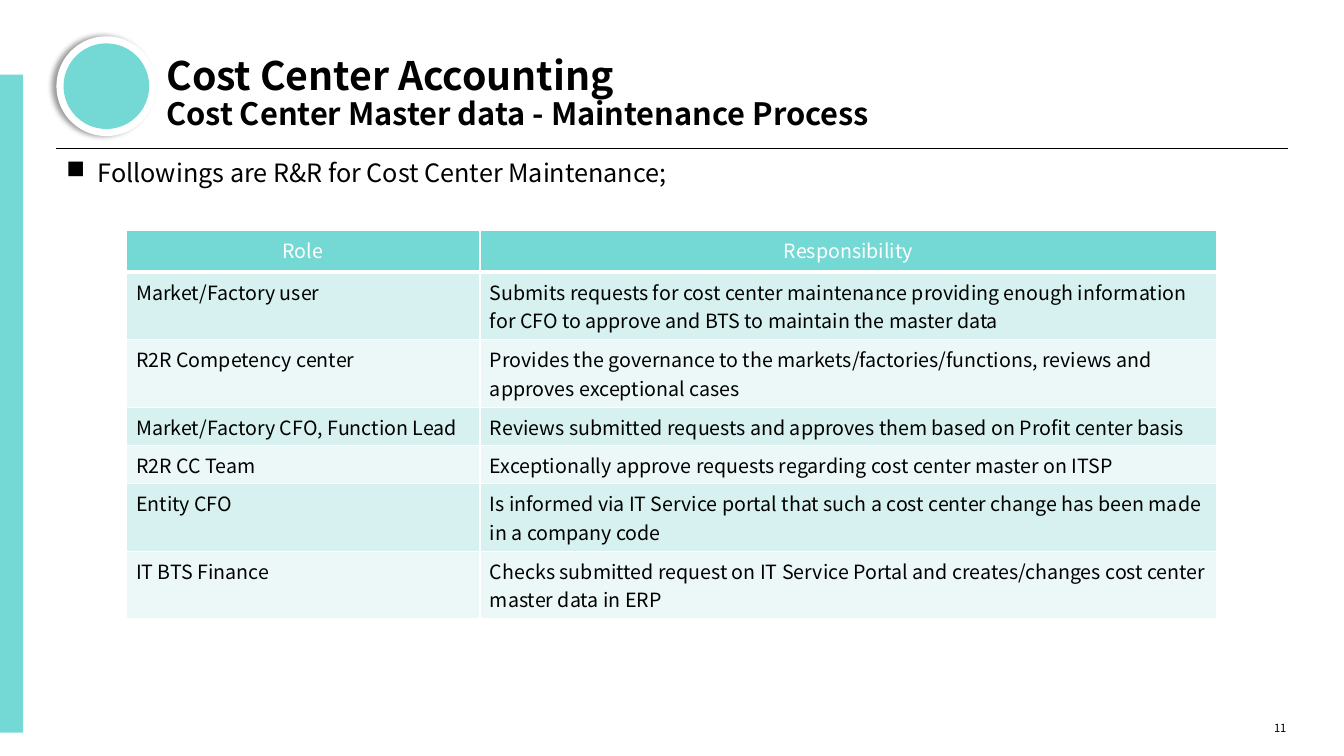
from lxml import etree
from pptx import Presentation
from pptx.dml.color import RGBColor
from pptx.enum import shapes, text
from pptx.oxml import ns
from pptx.util import Inches, Pt

FONT = "Noto Sans CJK JP"
TEAL = RGBColor(0x74, 0xD9, 0xD5)
BAND_DARK = RGBColor(0xD6, 0xF1, 0xEF)
BAND_LIGHT = RGBColor(0xEB, 0xF8, 0xF7)
BLACK = RGBColor(0, 0, 0)
WHITE = RGBColor(0xFF, 0xFF, 0xFF)

ONE_LINE, TWO_LINES = 0.38, 0.67
HEADINGS = ("Role", "Responsibility")
ROLES = [
    ("Market/Factory user",
     "Submits requests for cost center maintenance providing enough information "
     "for CFO to approve and BTS to maintain the master data", TWO_LINES),
    ("R2R Competency center",
     "Provides the governance to the markets/factories/functions, reviews and "
     "approves exceptional cases", TWO_LINES),
    ("Market/Factory CFO, Function Lead",
     "Reviews submitted requests and approves them based on Profit center basis", ONE_LINE),
    ("R2R CC Team",
     "Exceptionally approve requests regarding cost center master on ITSP", ONE_LINE),
    ("Entity CFO",
     "Is informed via IT Service portal that such a cost center change has been made "
     "in a company code", TWO_LINES),
    ("IT BTS Finance",
     "Checks submitted request on IT Service Portal and creates/changes cost center "
     "master data in ERP", TWO_LINES),
]


def add_xml(parent, tag, **attributes):
    return etree.SubElement(parent, ns.qn(tag), attributes)


def write(paragraph, words, size, color=BLACK, bold=False, align=None,
          spacing=None, bullet=False):
    if align is not None:
        paragraph.alignment = align
    if spacing:
        paragraph.line_spacing = spacing
    if bullet:
        properties = paragraph._p.get_or_add_pPr()
        properties.set("marL", str(Inches(0.31)))
        properties.set("indent", str(Inches(-0.31)))
        add_xml(properties, "a:buFont", typeface="Wingdings", charset="2")
        add_xml(properties, "a:buChar", char="n")
    run = paragraph.add_run()
    run.text = words
    run.font.name = FONT
    run.font.size = Pt(size)
    run.font.bold = bold
    run.font.color.rgb = color


def add_frame(slide, box, anchor=text.MSO_ANCHOR.TOP):
    frame = slide.shapes.add_textbox(*map(Inches, box)).text_frame
    frame.word_wrap = True
    frame.vertical_anchor = anchor
    frame.margin_left = frame.margin_right = frame.margin_top = frame.margin_bottom = 0
    return frame


def add_filled(container, preset, box, color):
    shape = container.add_shape(preset, *map(Inches, box))
    shape.shadow.inherit = False
    shape.fill.solid()
    shape.fill.fore_color.rgb = color
    shape.line.fill.background()
    return shape


def add_badge(slide, left, top, size):
    """Teal disc on a white disc that casts a shadow to the left."""
    badge = slide.shapes.add_group_shape().shapes
    oval = shapes.MSO_SHAPE.OVAL
    rim = add_filled(badge, oval, (left, top, size, size), WHITE)
    effects = rim._element.spPr.find(ns.qn("a:effectLst"))
    shadow = add_xml(effects, "a:outerShdw", blurRad=str(Pt(4)), dist=str(Pt(3)),
                     dir="10800000", algn="r", rotWithShape="0")
    add_xml(add_xml(shadow, "a:srgbClr", val=str(BLACK)), "a:alpha", val="40000")
    inset = 0.07
    disc = size - 2 * inset
    add_filled(badge, oval, (left + inset, top + inset, disc, disc), TEAL)


def add_header(slide, left, top, width, height):
    add_badge(slide, left, top + 0.13, 0.99)
    title = add_frame(slide, (left + 1.09, top, 9.06, 1.08), text.MSO_ANCHOR.BOTTOM)
    write(title.paragraphs[0], "Cost Center Accounting", 28, bold=True, spacing=0.9)
    write(title.add_paragraph(), "Cost Center Master data - Maintenance Process", 22,
          bold=True, spacing=0.9)
    bottom = Inches(top + height)
    rule = slide.shapes.add_connector(shapes.MSO_CONNECTOR.STRAIGHT, Inches(left), bottom,
                                      Inches(left + width), bottom)
    rule.line.color.rgb = BLACK
    rule.line.width = Pt(0.75)
    add_xml(rule._element.spPr, "a:effectLst")


def style_cell(cell, color, bottom_width=1):
    properties = cell._tc.get_or_add_tcPr()
    for side, width in (("L", 1), ("R", 1), ("T", 1), ("B", bottom_width)):
        border = add_xml(properties, f"a:ln{side}", w=str(Pt(width)))
        add_xml(add_xml(border, "a:solidFill"), "a:srgbClr", val=str(WHITE))
    cell.fill.solid()
    cell.fill.fore_color.rgb = color


def add_role_table(slide, left, top, width, header_height=0.41, role_width=3.51):
    heights = [header_height] + [height for _, _, height in ROLES]
    table = slide.shapes.add_table(len(heights), len(HEADINGS), Inches(left), Inches(top),
                                   Inches(width), Inches(sum(heights))).table
    table.columns[0].width = Inches(role_width)
    table.columns[1].width = Inches(width - role_width)
    for row, height in zip(table.rows, heights):
        row.height = Inches(height)
    for column, heading in enumerate(HEADINGS):
        cell = table.cell(0, column)
        style_cell(cell, TEAL, bottom_width=3)
        write(cell.text_frame.paragraphs[0], heading, 14, WHITE, align=text.PP_ALIGN.CENTER)
    for number, (role, duty, _) in enumerate(ROLES, 1):
        for column, words in enumerate((role, duty)):
            cell = table.cell(number, column)
            style_cell(cell, BAND_DARK if number % 2 else BAND_LIGHT)
            write(cell.text_frame.paragraphs[0], words, 14)


def main():
    deck = Presentation()
    deck.slide_width, deck.slide_height = Inches(13.33), Inches(7.5)
    slide = deck.slides.add_slide(deck.slide_layouts[6])
    add_filled(slide.shapes, shapes.MSO_SHAPE.RECTANGLE, (0, 0.74, 0.23, 6.53), TEAL)
    add_header(slide, 0.56, 0.23, 12.21, 1.24)
    intro = add_frame(slide, (0.66, 1.56, 8.27, 0.74))
    write(intro.paragraphs[0], "Followings are R&R for Cost Center Maintenance;", 18,
          bullet=True)
    add_role_table(slide, 1.25, 2.29, 10.82)
    page_number = add_frame(slide, (12.33, 6.89, 0.43, 0.4), text.MSO_ANCHOR.BOTTOM)
    write(page_number.paragraphs[0], "11", 8, align=text.PP_ALIGN.RIGHT)
    deck.save("out.pptx")


if __name__ == "__main__":
    main()
